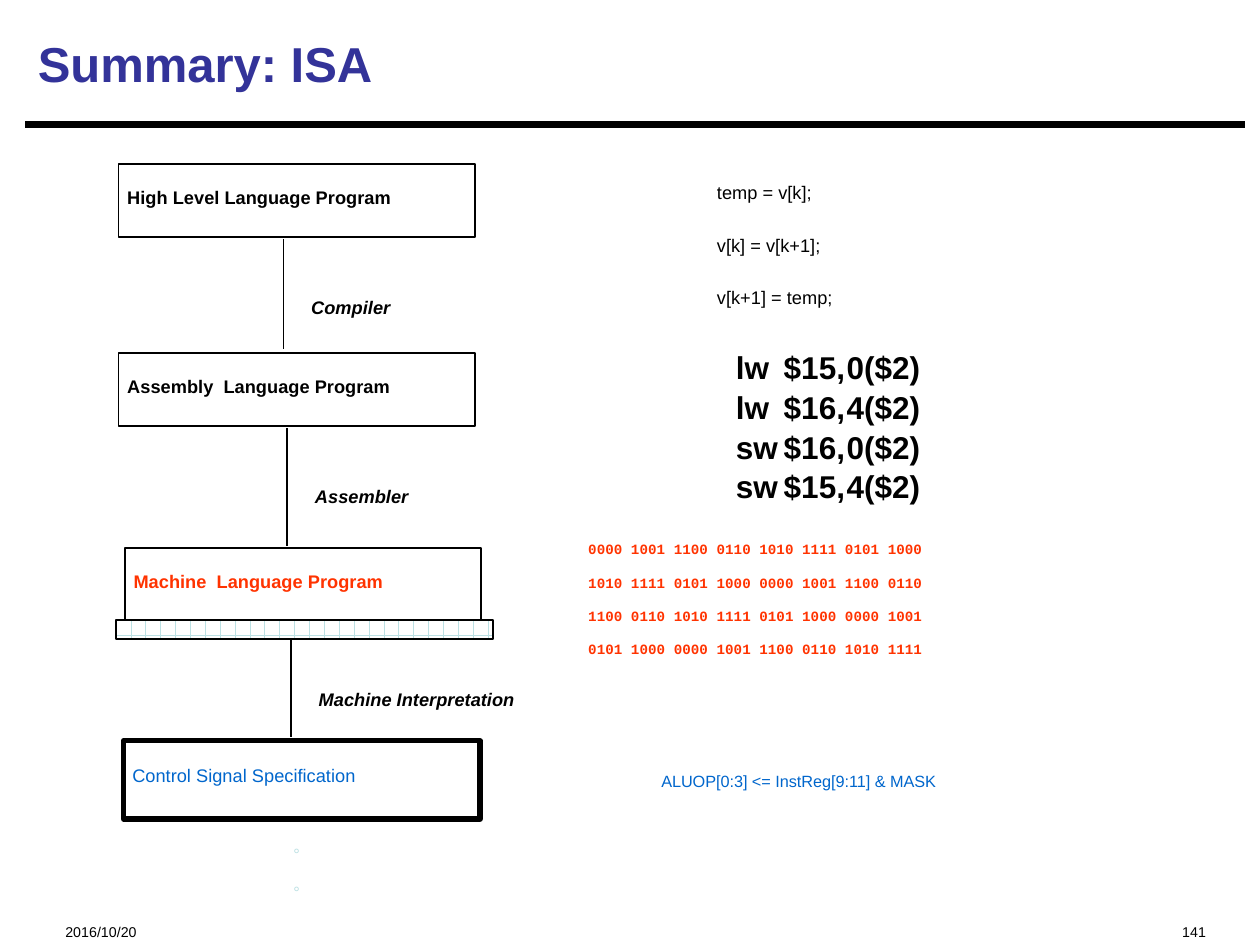
import pptx
import pptx.dml.color
import pptx.enum.dml
import pptx.enum.shapes
import pptx.enum.text
import pptx.oxml.ns
import pptx.util
from lxml import etree
from pptx.util import Inches

ANCHOR = pptx.enum.text.MSO_ANCHOR
ALIGN = pptx.enum.text.PP_ALIGN

THEME = {
    "ink": "000000", "title": "333399", "machine": "FF3300",
    "control": "0066CC", "pale": "BBE0E3", "paper": "FFFFFF",
    "title_size": 28, "text_size": 18, "note_size": 16, "small_size": 14,
    "font": "Arial", "code_font": "Courier New",
}
SUBSCRIPT = "-25000"
TIGHT = (0.07, 0.03)
ROOMY = (0.1, 0.05)


def color(name):
    return pptx.dml.color.RGBColor.from_string(THEME[name])


def write(shape, lines, size="text_size", ink="ink", font="font", insets=TIGHT,
          anchor=ANCHOR.TOP, lowered=True, layout=None, hanging=0, tab=None,
          gap=0, **style):
    """Fill a shape with one paragraph for each line."""
    frame = shape.text_frame
    side, end = (Inches(value) for value in insets)
    frame_format = {
        "word_wrap": True, "auto_size": pptx.enum.text.MSO_AUTO_SIZE.NONE,
        "vertical_anchor": anchor, "margin_left": side, "margin_right": side,
        "margin_top": end, "margin_bottom": end,
    }
    for name, value in frame_format.items():
        setattr(frame, name, value)
    for index, line in enumerate(lines):
        para = frame.paragraphs[0] if index == 0 else frame.add_paragraph()
        properties = para._p.get_or_add_pPr()
        properties.set("marL", str(Inches(hanging)))
        properties.set("indent", str(-Inches(hanging)))
        etree.SubElement(properties, pptx.oxml.ns.qn("a:buNone"))
        if tab:
            stops = etree.SubElement(properties, pptx.oxml.ns.qn("a:tabLst"))
            etree.SubElement(stops, pptx.oxml.ns.qn("a:tab"),
                             pos=str(Inches(tab)), algn="l")
        para_format = {"alignment": ALIGN.LEFT, **(layout or {}),
                       "space_before": pptx.util.Pt(gap if index else 0)}
        for name, value in para_format.items():
            setattr(para, name, value)
        span = para.add_run()
        span.text = line
        span_format = {"name": THEME[font], "size": pptx.util.Pt(THEME[size]),
                       "bold": False, **style}
        for name, value in span_format.items():
            setattr(span.font, name, value)
        span.font.color.rgb = color(ink)
        if lowered:
            span._r.get_or_add_rPr().set("baseline", SUBSCRIPT)


def place(shape, left, top, width, height):
    bounds = {"left": left, "top": top, "width": width, "height": height}
    for name, value in bounds.items():
        setattr(shape, name, Inches(value))


def add_text(page, bounds, lines, **options):
    box = page.shapes.add_textbox(*map(Inches, bounds))
    write(box, lines, **options)


def add_rectangle(page, bounds, weight=1):
    box = page.shapes.add_shape(pptx.enum.shapes.MSO_SHAPE.RECTANGLE,
                                *map(Inches, bounds))
    box.shadow.inherit = False
    box.fill.background()
    box.line.color.rgb = color("ink")
    box.line.width = pptx.util.Pt(weight)
    return box


def add_line(page, start, finish, weight=1):
    line = page.shapes.add_connector(pptx.enum.shapes.MSO_CONNECTOR.STRAIGHT,
                                     *map(Inches, (*start, *finish)))
    line.line.color.rgb = color("ink")
    line.line.width = pptx.util.Pt(weight)
    etree.SubElement(line._element.spPr, pptx.oxml.ns.qn("a:effectLst"))


def add_levels(page):
    """Stack the program levels and the steps between them."""
    levels = [
        ("High Level Language Program", (0.94, 1.3, 2.83, 0.58), 1, "ink", True, 0.85),
        ("Assembly  Language Program", (0.94, 2.8, 2.83, 0.58), 1, "ink", True, 0.85),
        ("Machine  Language Program", (0.99, 4.35, 2.83, 0.58), 1, "machine", True, 0.85),
        ("Control Signal Specification", (0.98, 5.88, 2.83, 0.62), 3, "control", False, 0.88),
    ]
    for label, bounds, weight, ink, bold, spacing in levels:
        box = add_rectangle(page, bounds, weight)
        write(box, [label], ink=ink, bold=bold, hanging=0.38,
              layout={"line_spacing": spacing})
    steps = [
        ("Compiler", 2.25, 1.9, 2.77, (2.4, 2.17, 1.43, 0.31)),
        ("Assembler", 2.28, 3.4, 4.33, (2.43, 3.67, 1.57, 0.31)),
        ("Machine Interpretation", 2.31, 4.92, 5.85, (2.46, 5.28, 2.96, 0.31)),
    ]
    for label, x, top, bottom, bounds in steps:
        add_line(page, (x, top), (x, bottom))
        add_text(page, bounds, [label], bold=True, italic=True,
                 layout={"line_spacing": 0.85})


def add_brick_band(page):
    band = add_rectangle(page, (0.92, 4.92, 2.99, 0.15))
    band.fill.patterned()
    band.fill.pattern = pptx.enum.dml.MSO_PATTERN.HORIZONTAL_BRICK
    band.fill.fore_color.rgb = color("pale")
    band.fill.back_color.rgb = color("paper")


def add_examples(page, body):
    """Show the same program at each level."""
    add_text(page, (5.62, 1.25, 3.38, 1.1),
             ["temp = v[k];", "v[k] = v[k+1];", "v[k+1] = temp;"],
             hanging=0.38, gap=8.5, layout={"line_spacing": 0.88})
    place(body, 5.77, 2.72, 3.65, 1.26)
    write(body, ["lw\t$15,\t0($2)", "lw\t$16,\t4($2)",
                 "sw\t$16,\t0($2)", "sw\t$15,\t4($2)"],
          bold=True, lowered=False, hanging=0.38, tab=1.17,
          layout={"line_spacing": 1.05})
    add_text(page, (4.57, 4.11, 4.85, 1.03),
             ["0000 1001 1100 0110 1010 1111 0101 1000",
              "1010 1111 0101 1000 0000 1001 1100 0110",
              "1100 0110 1010 1111 0101 1000 0000 1001",
              "0101 1000 0000 1001 1100 0110 1010 1111"],
             size="small_size", ink="machine", font="code_font",
             insets=ROOMY, bold=True)
    add_text(page, (2.23, 6.5, 0.29, 0.63), ["°", "°"],
             size="note_size", ink="pale", insets=ROOMY)
    add_text(page, (5.15, 5.92, 3.99, 0.36),
             ["ALUOP[0:3] <= InstReg[9:11] & MASK"],
             size="note_size", ink="control", insets=ROOMY)


def main():
    deck = pptx.Presentation()
    deck.slide_width, deck.slide_height = Inches(10), Inches(7.5)
    page = deck.slides.add_slide(deck.slide_layouts[1])

    # Title and rule
    title, body = page.placeholders
    place(title, 0.2, 0.08, 9.67, 0.84)
    write(title, ["Summary: ISA"], size="title_size", ink="title",
          insets=ROOMY, anchor=ANCHOR.MIDDLE, lowered=False, bold=True)
    add_line(page, (0.2, 0.99), (9.88, 0.99), 3.75)

    # Levels and their examples
    add_levels(page)
    add_examples(page, body)
    add_brick_band(page)

    # Footer
    footers = [("2016/10/20", 0.42, 2.5, ALIGN.LEFT), ("141", 6.67, 3, ALIGN.RIGHT)]
    for label, left, width, alignment in footers:
        add_text(page, (left, 7.15, width, 0.27), [label], size="small_size",
                 insets=ROOMY, layout={"alignment": alignment})
    deck.save("out.pptx")


if __name__ == "__main__":
    main()
